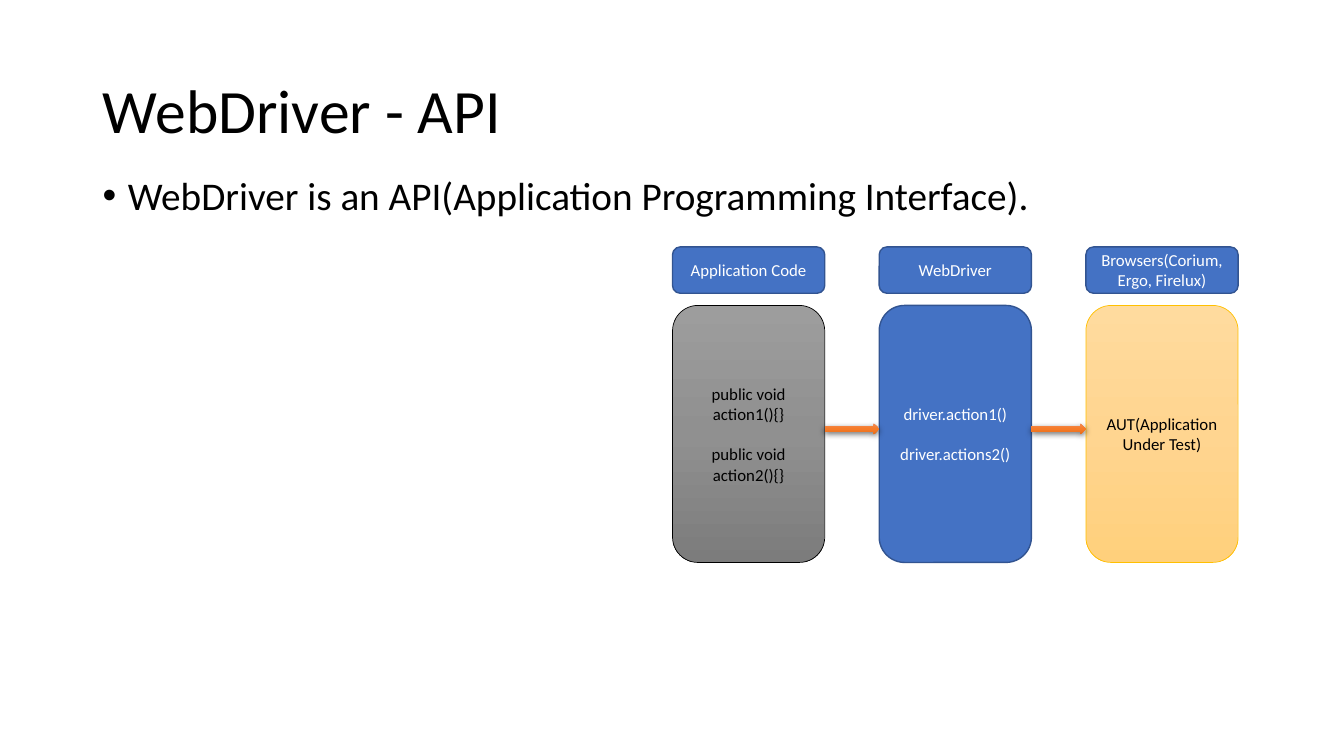
"""Build the WebDriver API slide with its three-column flow diagram."""
from copy import deepcopy

from lxml import etree
from pptx import Presentation
from pptx.dml.color import RGBColor
from pptx.enum.shapes import MSO_SHAPE
from pptx.enum.text import MSO_ANCHOR, MSO_AUTO_SIZE, PP_ALIGN
from pptx.oxml.ns import qn
from pptx.util import Pt

ROUNDED, ARROW = MSO_SHAPE.ROUNDED_RECTANGLE, MSO_SHAPE.RIGHT_ARROW
LEFT, CENTER = PP_ALIGN.LEFT, PP_ALIGN.CENTER
TOP, MIDDLE = MSO_ANCHOR.TOP, MSO_ANCHOR.MIDDLE
NO_AUTOFIT = MSO_AUTO_SIZE.NONE

PX = 9144
COLORS = {
    "black": "000000", "white": "FFFFFF", "blue": "4472C4",
    "navy": "325491", "gold": "FFC000",
}
GRADIENTS = {
    "gray": ["9D9D9D", "909090", "7C7C7C"],
    "amber": ["FFDB9E", "FFD590", "FFD07C"],
    "orange": ["F18C57", "F67B28", "E56C19"],
}


def write_text(frame, lines, size=12, color="black", align=CENTER,
               anchor=MIDDLE, line_spacing=1.0, space_before=0):
    frame.word_wrap = True
    frame.auto_size = NO_AUTOFIT
    frame.vertical_anchor = anchor
    for index, line in enumerate(lines):
        para = frame.paragraphs[0] if index == 0 else frame.add_paragraph()
        para.alignment = align
        para.line_spacing = line_spacing
        para.space_before = Pt(space_before if index else 0)
        span = para.add_run()
        span.text = line
        span.font.name = "Calibri"
        span.font.size = Pt(size)
        span.font.color.rgb = RGBColor.from_string(COLORS[color])


def add_box(page, kind, bounds, fill, line=None, line_width=1):
    box = page.shapes.add_shape(kind, *[length * PX for length in bounds])
    box.shadow.inherit = False
    if fill in GRADIENTS:
        box.fill.gradient()
        box.fill.gradient_angle = 270
        stop_list = box._element.spPr.find(qn("a:gradFill")).find(qn("a:gsLst"))
        stop_list.append(deepcopy(stop_list[-1]))
        for index, stop in enumerate(box.fill.gradient_stops):
            stop.position = index / 2
            stop.color.rgb = RGBColor.from_string(GRADIENTS[fill][index])
    else:
        box.fill.solid()
        box.fill.fore_color.rgb = RGBColor.from_string(COLORS[fill])
    if line:
        box.line.color.rgb = RGBColor.from_string(COLORS[line])
        box.line.width = Pt(line_width)
    else:
        box.line.fill.background()
    return box


deck = Presentation()
deck.slide_width, deck.slide_height = 1333 * PX, 750 * PX
page = deck.slides.add_slide(deck.slide_layouts[5])

title = page.shapes.title
title.left, title.top, title.width, title.height = 92 * PX, 40 * PX, 1150 * PX, 145 * PX
write_text(title.text_frame, ["WebDriver - API"], size=44, align=LEFT, line_spacing=0.9)

body = page.shapes.add_textbox(92 * PX, 170 * PX, 1150 * PX, 506 * PX)
write_text(body.text_frame, ["WebDriver is an API(Application Programming Interface)."],
           size=28, align=LEFT, anchor=TOP, line_spacing=0.9)
bullet_format = body.text_frame.paragraphs[0]._p.get_or_add_pPr()
bullet_format.set("marL", str(25 * PX))
bullet_format.set("indent", str(-25 * PX))
etree.SubElement(bullet_format, qn("a:buFont"), typeface="Arial")
etree.SubElement(bullet_format, qn("a:buChar"), char="•")

columns = [
    ("Application Code", ["public void action1(){}", "public void action2(){}"],
     "gray", "black", 0.5, "black"),
    ("WebDriver", ["driver.action1()", "driver.actions2()"],
     "blue", "navy", 1, "white"),
    ("Browsers(Corium, Ergo, Firelux)", ["AUT(Application Under Test)"],
     "amber", "gold", 0.5, "black"),
]
FIRST_LEFT, COLUMN_WIDTH, GAP = 667, 151, 54
for index, (heading, lines, fill, line, line_width, text_color) in enumerate(columns):
    left = FIRST_LEFT + index * (COLUMN_WIDTH + GAP)
    header = add_box(page, ROUNDED, (left, 245, COLUMN_WIDTH, 46), "blue", "navy")
    write_text(header.text_frame, [heading], color="white")
    panel = add_box(page, ROUNDED, (left, 303, COLUMN_WIDTH, 255), fill, line, line_width)
    write_text(panel.text_frame, lines, color=text_color, space_before=14.6)

for index in range(len(columns) - 1):
    left = FIRST_LEFT + COLUMN_WIDTH + index * (COLUMN_WIDTH + GAP)
    arrow = add_box(page, ARROW, (left, 420, GAP, 11), "orange")
    effects = arrow._element.spPr.find(qn("a:effectLst"))
    shadow = etree.SubElement(effects, qn("a:outerShdw"), blurRad="57150",
                              dist="19050", dir="5400000", algn="ctr", rotWithShape="0")
    shade = etree.SubElement(shadow, qn("a:srgbClr"), val=COLORS["black"])
    etree.SubElement(shade, qn("a:alpha"), val="63000")

deck.save("out.pptx")
